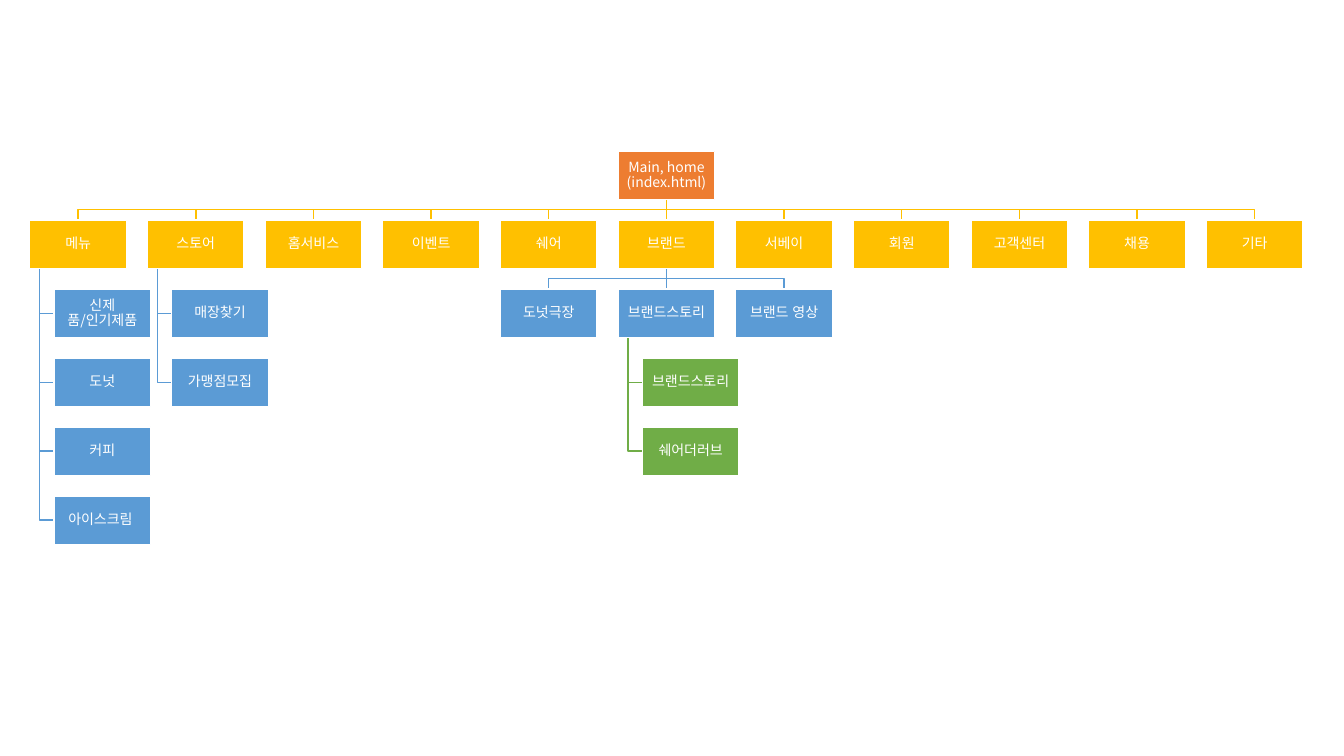
from dataclasses import dataclass

from lxml.etree import SubElement as Sub
from pptx import Presentation as Deck
from pptx.dml.color import RGBColor as Rgb
from pptx.enum.lang import MSO_LANGUAGE_ID as Lang
from pptx.enum.shapes import MSO_CONNECTOR as Conn, MSO_SHAPE as Kind
from pptx.enum.text import MSO_ANCHOR as Anchor, PP_ALIGN as Align
from pptx.oxml.ns import qn
from pptx.util import Inches, Pt


@dataclass(frozen=True)
class Theme:
    """Colours and type sizes of the site map."""
    levels: tuple = ("ED7D31", "FFC000", "5B9BD5", "70AD47")
    white: str = "FFFFFF"
    font: str = "Noto Sans CJK KR"
    size: float = 10
    after: float = 3.5
    line: float = 1


@dataclass(frozen=True)
class Page:
    """A page of the site; its kids fan out in a row or hang in a column."""
    name: str
    kids: tuple = ()
    fan: bool = False


THEME = Theme()
WIDTH, HEIGHT = 0.96, 0.48
STEP, ROW = 11.67 / 10, 3.42 / 5
INDENT, SPINE, PAD = 0.24, 0.1, 0.01

BRAND = Page("브랜드", (
    Page("도넛극장"),
    Page("브랜드스토리", (Page("브랜드스토리"), Page("쉐어더러브"))),
    Page("브랜드 영상"),
), fan=True)

SITE = Page("Main, home (index.html)", (
    Page("메뉴", (Page("신제품/인기제품"), Page("도넛"), Page("커피"), Page("아이스크림 "))),
    Page("스토어", (Page("매장찾기"), Page("가맹점모집"))),
    Page("홈서비스"),
    Page("이벤트"),
    Page("쉐어"),
    BRAND,
    Page("서베이"),
    Page("회원"),
    Page("고객센터"),
    Page("채용"),
    Page("기타"),
), fan=True)


def spots(page, left, top):
    """Return each kid of a page with its left and top."""
    if page.fan:
        mid = (len(page.kids) - 1) / 2
        return [(kid, left + (i - mid) * STEP, top + ROW) for i, kid in enumerate(page.kids)]
    return [(kid, left + INDENT, top + ROW * i) for i, kid in enumerate(page.kids, 1)]


def route(fan, left, top, end, drop):
    """Return the points of the link from a page to its kid."""
    base = top + HEIGHT
    if not fan:
        x, y = left + SPINE, drop + HEIGHT / 2
        return [(x, base), (x, y), (end, y)]
    x, goal = left + WIDTH / 2, end + WIDTH / 2
    if abs(goal - x) < 0.01:
        return [(x, base), (x, drop)]
    bar = (base + drop) / 2
    return [(x, base), (x, bar), (goal, bar), (goal, drop)]


def link(slide, points, tone):
    """Draw a straight or elbowed line through the points."""
    dots = [(Inches(x), Inches(y)) for x, y in points]
    if len(dots) == 2:
        line = slide.shapes.add_connector(Conn.STRAIGHT, *dots[0], *dots[1])
        Sub(line._element.spPr, qn("a:effectLst"))
    else:
        form = slide.shapes.build_freeform(*dots[0])
        form.add_line_segments(dots[1:], close=False)
        line = form.convert_to_shape()
        line.fill.background()
        line.shadow.inherit = False
    line.line.color.rgb = Rgb.from_string(tone)
    line.line.width = Pt(THEME.line)


def links(slide, page, left, top, level=1):
    """Draw all links below a page."""
    for kid, x, y in spots(page, left, top):
        link(slide, route(page.fan, left, top, x, y), THEME.levels[level])
        links(slide, kid, x, y, level + 1)


def label(frame, text):
    """Write centred white text in a frame."""
    frame.text = text
    frame.word_wrap = True
    frame.vertical_anchor = Anchor.MIDDLE
    frame.margin_left = frame.margin_right = Inches(PAD)
    frame.margin_top = frame.margin_bottom = Inches(PAD)
    para = frame.paragraphs[0]
    para.alignment = Align.CENTER
    para.line_spacing = 0.9
    para.space_after = Pt(THEME.after)
    font = para.runs[0].font
    font.size, font.name = Pt(THEME.size), THEME.font
    font.color.rgb = Rgb.from_string(THEME.white)
    font.language_id = Lang.KOREAN
    Sub(font._element, qn("a:ea")).set("typeface", THEME.font)


def box(slide, text, left, top, tone):
    """Draw the box of one page."""
    shape = slide.shapes.add_shape(
        Kind.RECTANGLE, Inches(left), Inches(top), Inches(WIDTH), Inches(HEIGHT))
    shape.shadow.inherit = False
    shape.fill.solid()
    shape.fill.fore_color.rgb = Rgb.from_string(tone)
    shape.line.color.rgb = Rgb.from_string(THEME.white)
    shape.line.width = Pt(THEME.line)
    label(shape.text_frame, text)


def boxes(slide, page, left, top, level=0):
    """Draw the box of a page and those of all pages below it."""
    box(slide, page.name, left, top, THEME.levels[level])
    for kid, x, y in spots(page, left, top):
        boxes(slide, kid, x, y, level + 1)


def main():
    """Build the site map and save it."""
    deck = Deck()
    deck.slide_width, deck.slide_height = Inches(13.33), Inches(7.5)
    slide = deck.slides.add_slide(deck.slide_layouts[6])
    left, top = 6.13, 1.5
    links(slide, SITE, left, top)
    boxes(slide, SITE, left, top)
    deck.save("out.pptx")


main()
